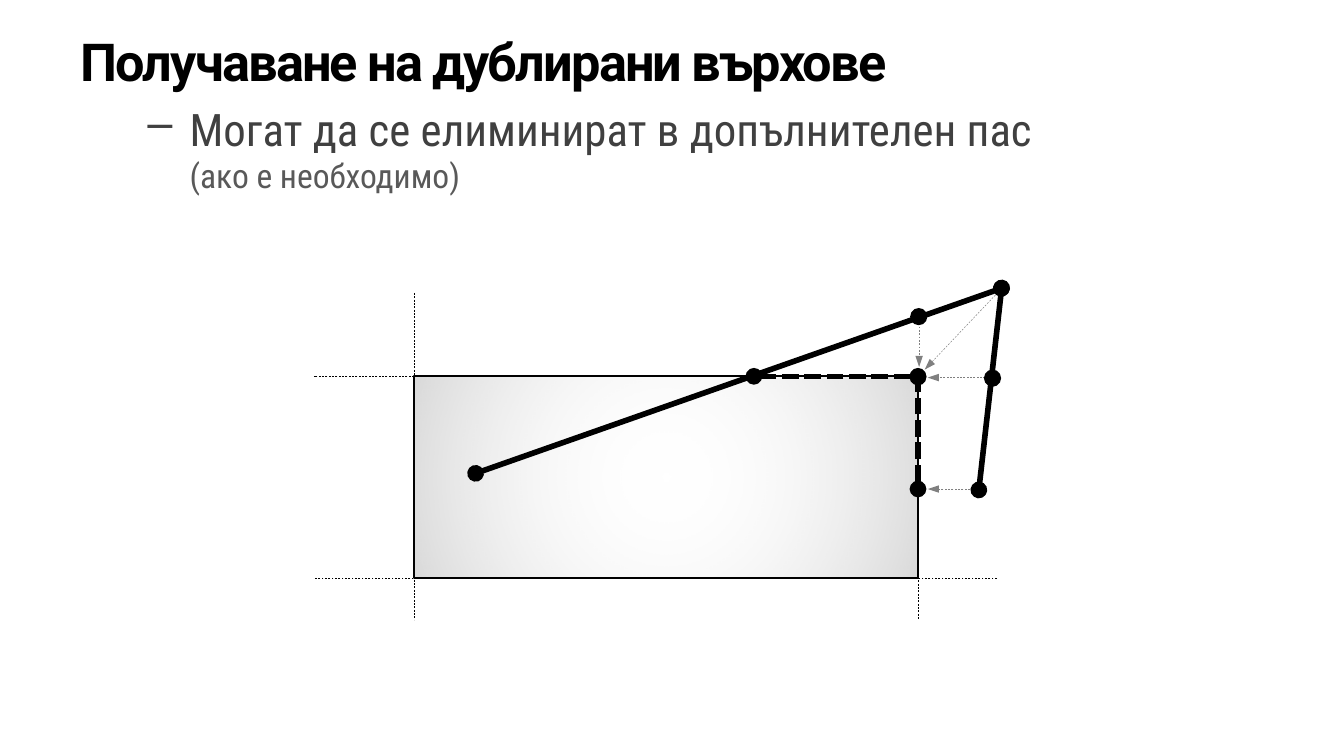
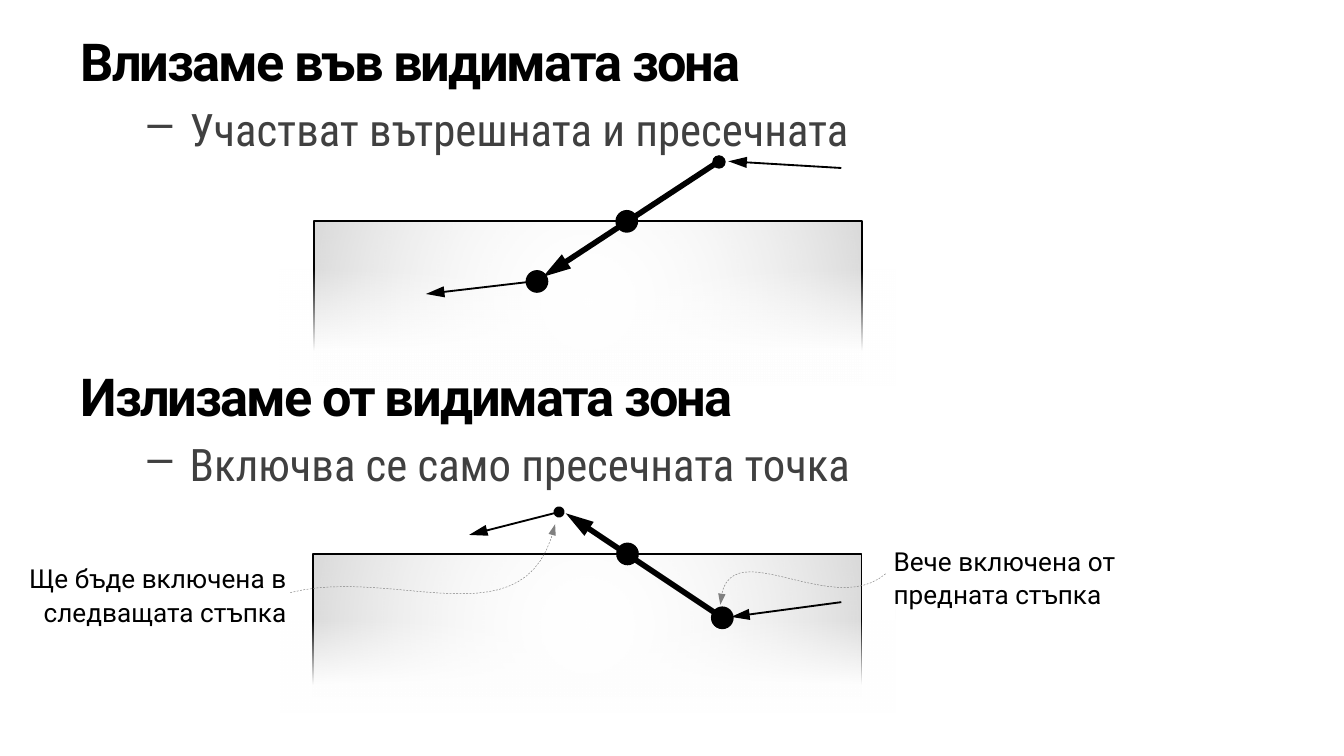
from lxml import etree
from pptx import Presentation
from pptx.dml.color import RGBColor
from pptx.enum.dml import MSO_LINE
from pptx.enum.shapes import MSO_CONNECTOR, MSO_SHAPE
from pptx.enum.text import MSO_ANCHOR, MSO_AUTO_SIZE, PP_ALIGN
from pptx.oxml import parse_xml
from pptx.oxml.ns import nsdecls, qn
from pptx.util import Pt

DASH, SYS_DASH = MSO_LINE.DASH, MSO_LINE.SQUARE_DOT
STRAIGHT = MSO_CONNECTOR.STRAIGHT
RECTANGLE, OVAL = MSO_SHAPE.RECTANGLE, MSO_SHAPE.OVAL
TOP, NO_AUTOFIT = MSO_ANCHOR.TOP, MSO_AUTO_SIZE.NONE
LEFT, RIGHT = PP_ALIGN.LEFT, PP_ALIGN.RIGHT

COLORS = {"ink": "000000", "bullet": "404040", "remark": "595959", "guide": "808080"}
TEXT_STYLES = {
    "heading": {"name": "Roboto", "size": Pt(28), "bold": True},
    "bullet": {"name": "Roboto Condensed", "size": Pt(24), "bold": False},
    "remark": {"name": "Roboto Condensed", "size": Pt(18), "bold": False},
    "note": {"name": "Roboto", "size": Pt(14), "bold": False},
}
INDENTS = {"bullet": (58.5, -22.5), "remark": (58.5, 0)}

# Line styles: colour, width, dash, head end, tail end; an end is type, width, length
DOT = ("oval", "med", "med")
ARROW = ("triangle", "med", "lg")
SMALL_ARROW = ("triangle", "sm", "med")
LINE_STYLES = {
    "border": ("ink", 0.25, DASH, None, None),
    "edge": ("ink", 3, None, DOT, DOT),
    "clipped": ("ink", 3, SYS_DASH, DOT, DOT),
    "move": ("guide", 0.25, DASH, None, SMALL_ARROW),
    "step": ("ink", 3, None, ARROW, None),
    "neighbour": ("ink", 1, None, ARROW, None),
    "next": ("ink", 1, None, ARROW, DOT),
}

# Gradients: stops (position %, colour, opacity %) and direction
GRADIENTS = {
    "window": (((0, "FFFFFF", 0), (100, "808080", 30)),
               '<a:path path="circle"><a:fillToRect l="50000" t="50000" r="50000" b="50000"/></a:path>'),
    "veil": (((25, "FFFFFF", 100), (85, "FFFFFF", 0)), '<a:lin ang="0" scaled="0"/>'),
}

HEADING_TOP = 12.2
BULLET_OFFSET = 38.5
W_LEFT, W_TOP, W_RIGHT, W_BOTTOM = 221.8, 201.6, 491.8, 309.6

SLIDES = [
    {
        "sections": [(HEADING_TOP, "Получаване на дублирани върхове",
                      [("bullet", "Могат да се елиминират в допълнителен пас"),
                       ("remark", "(ако е необходимо)")])],
        "areas": [("window", W_LEFT, W_TOP, W_RIGHT - W_LEFT, W_BOTTOM - W_TOP, 0)],
        "lines": [
            ("border", W_LEFT, 157, W_LEFT, 332),
            ("border", W_RIGHT, 211, W_RIGHT, 332),
            ("border", 534, W_BOTTOM, 168, W_BOTTOM),
            ("border", W_LEFT, W_TOP, 168, W_TOP),
            ("move", 525, 262, 497, 262),
            ("move", 535.7, 155.5, 495.4, 198),
            ("move", 492.4, 171.4, 492.4, 196.6),
            ("move", 531.4, 202.3, 497, 202.3),
            ("edge", 536.4, 154.5, 254.8, 253.6),
            ("edge", 524.4, 262.5, 536.6, 154.3),
            ("clipped", W_RIGHT, W_TOP, 403.9, W_TOP),
            ("clipped", W_RIGHT, 262, W_RIGHT, 202),
        ],
        "dots": [(531.7, 202.6, 9.2), (492.2, 169.6, 9.2)],
        "curves": [],
        "notes": [],
    },
    {
        "sections": [(HEADING_TOP, "Влизаме във видимата зона",
                      [("bullet", "Участват вътрешната и пресечната")]),
                     (191.7, "Излизаме от видимата зона",
                      [("bullet", "Включва се само пресечната точка")])],
        "areas": [("window", 272.2, 14.4, 85.7, 293.8, 270),
                  ("veil", 277.9, 5, 73.4, 329.8, 270),
                  ("window", 276.5, 187.9, 76.3, 293.8, 270),
                  ("veil", 285.8, 187.9, 58.3, 329.8, 270)],
        "lines": [
            ("neighbour", 390.2, 86.4, 450.7, 90),
            ("neighbour", 228.2, 157.5, 288, 150.5),
            ("step", 290.9, 148.3, 385.2, 86.4),
            ("neighbour", 391.7, 330.5, 450.7, 322.6),
            ("next", 251.3, 286.6, 299.5, 274.3),
            ("step", 303.1, 275, 387.4, 331.2),
        ],
        "dots": [(287.7, 150.8, 12.2), (385.2, 86.8, 7.2), (335.8, 118.6, 12.2),
                 (336.2, 296.8, 12.2), (387, 331, 12.2)],
        "curves": [((474.5, 307.4), (445, 332.6), (388, 281.5), (385.9, 324)),
                   ((155.5, 317.5), (213.1, 303.1), (283, 345.6), (297.4, 280.8))],
        "notes": [(471.6, 287.3, LEFT, "Вече включена от предната стъпка"),
                  (5.8, 296.6, RIGHT, "Ще бъде включена в следващата стъпка")],
    },
]


def write(frame, paragraphs, align=LEFT):
    """Fill a text frame with (style name, text) paragraphs."""
    frame.word_wrap = True
    frame.auto_size = NO_AUTOFIT
    frame.vertical_anchor = TOP
    for i, (style, text) in enumerate(paragraphs):
        paragraph = frame.add_paragraph() if i else frame.paragraphs[0]
        paragraph.alignment = align
        paragraph.space_before = Pt(0)
        if style == "note":
            paragraph.line_spacing = Pt(18)
        if style in INDENTS:
            margin, hang = INDENTS[style]
            properties = paragraph._p.get_or_add_pPr()
            properties.set("marL", str(Pt(margin)))
            properties.set("indent", str(Pt(hang)))
            if style == "bullet":
                etree.SubElement(properties, qn("a:buChar")).set("char", "–")
        run = paragraph.add_run()
        run.text = text
        for attribute, value in TEXT_STYLES[style].items():
            setattr(run.font, attribute, value)
        run.font.color.rgb = RGBColor.from_string(COLORS.get(style, COLORS["ink"]))
        if style == "heading":
            run._r.get_or_add_rPr().set("spc", "-100")


def style_line(shape, style):
    color, width, dash, head, tail = LINE_STYLES[style]
    shape.line.color.rgb = RGBColor.from_string(COLORS[color])
    shape.line.width = Pt(width)
    if dash:
        shape.line.dash_style = dash
    outline = shape.line._get_or_add_ln()
    for tag, end in (("a:headEnd", head), ("a:tailEnd", tail)):
        if end:
            element = etree.SubElement(outline, qn(tag))
            for key, value in zip(("type", "w", "len"), end):
                element.set(key, value)


prs = Presentation()
prs.slide_width, prs.slide_height = Pt(720), Pt(405)

for content in SLIDES:
    slide = prs.slides.add_slide(prs.slide_layouts[5])
    shapes = slide.shapes

    for kind, x, y, width, height, rotation in content["areas"]:
        area = shapes.add_shape(RECTANGLE, Pt(x), Pt(y), Pt(width), Pt(height))
        area.rotation = rotation
        area.shadow.inherit = False
        stops, direction = GRADIENTS[kind]
        stop_xml = "".join(
            f'<a:gs pos="{position * 1000}"><a:srgbClr val="{color}">'
            f'<a:alpha val="{opacity * 1000}"/></a:srgbClr></a:gs>'
            for position, color, opacity in stops)
        area.fill.background()
        properties = area._element.spPr
        properties.replace(properties.find(qn("a:noFill")), parse_xml(
            f'<a:gradFill {nsdecls("a")} rotWithShape="1"><a:gsLst>{stop_xml}</a:gsLst>{direction}</a:gradFill>'))
        if kind == "window":
            area.line.color.rgb = RGBColor.from_string(COLORS["ink"])
            area.line.width = Pt(1)
        else:
            area.line.fill.background()

    for i, (top, heading, bullets) in enumerate(content["sections"]):
        if i == 0:
            heading_box = shapes.title
            heading_box.left, heading_box.top = Pt(36), Pt(top)
            heading_box.width, heading_box.height = Pt(648), Pt(40)
        else:
            heading_box = shapes.add_textbox(Pt(36), Pt(top), Pt(648), Pt(40))
        write(heading_box.text_frame, [("heading", heading)])
        bullet_box = shapes.add_textbox(Pt(36), Pt(top + BULLET_OFFSET), Pt(648),
                                        Pt(10 + 27 * len(bullets)))
        write(bullet_box.text_frame, bullets)

    for style, *ends in content["lines"]:
        line = shapes.add_connector(STRAIGHT, *map(Pt, ends))
        style_line(line, style)
        etree.SubElement(line._element.spPr, qn("a:effectLst"))

    for center_x, center_y, size in content["dots"]:
        dot = shapes.add_shape(OVAL, Pt(center_x - size / 2), Pt(center_y - size / 2), Pt(size), Pt(size))
        dot.shadow.inherit = False
        dot.fill.solid()
        dot.fill.fore_color.rgb = RGBColor.from_string(COLORS["ink"])
        dot.line.fill.background()

    for controls in content["curves"]:
        points = []
        for step in range(25):
            t = step / 24
            weights = ((1 - t) ** 3, 3 * t * (1 - t) ** 2, 3 * t ** 2 * (1 - t), t ** 3)
            points.append(tuple(Pt(sum(w * c for w, c in zip(weights, axis))) for axis in zip(*controls)))
        builder = shapes.build_freeform(*points[0])
        builder.add_line_segments(points[1:], close=False)
        curve = builder.convert_to_shape()
        curve.shadow.inherit = False
        curve.fill.background()
        style_line(curve, "move")

    for x, y, align, text in content["notes"]:
        note = shapes.add_textbox(Pt(x), Pt(y), Pt(154.8), Pt(44))
        write(note.text_frame, [("note", text)], align)

prs.save("out.pptx")
